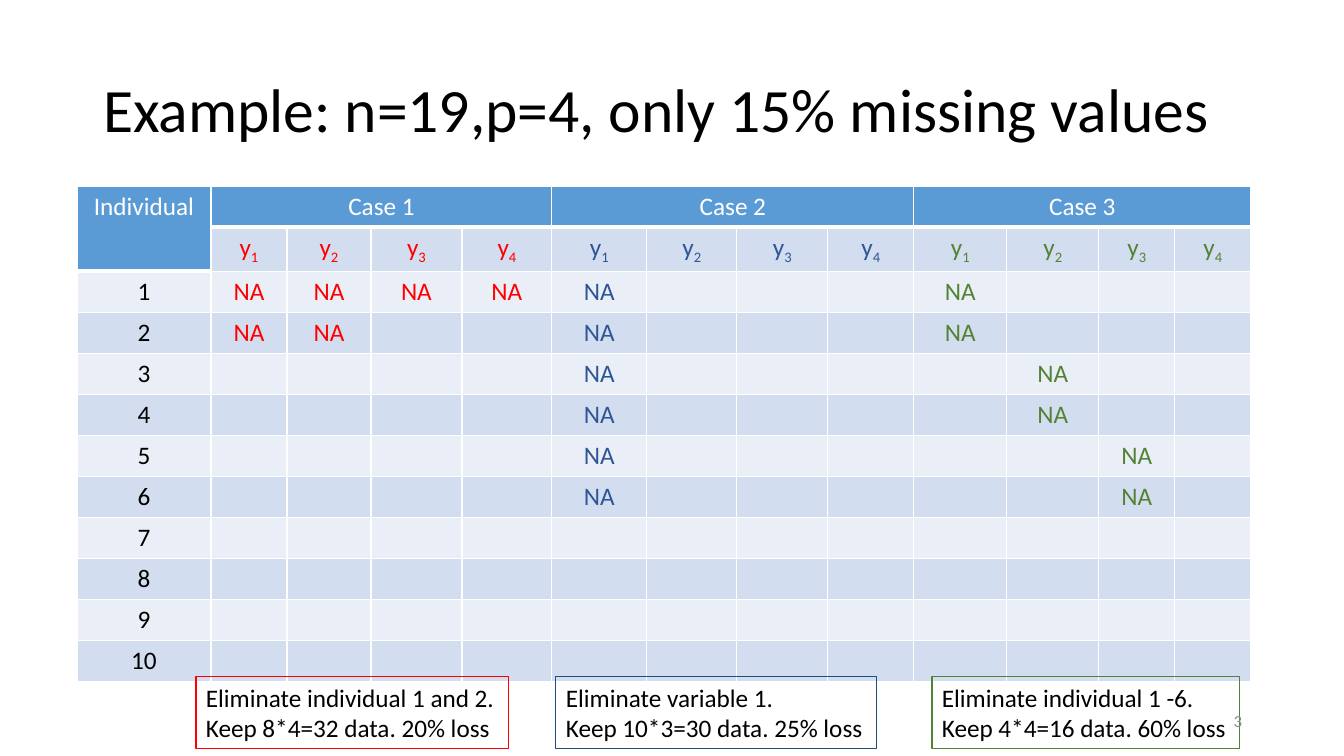
"""Build the slide that compares three patterns of missing values."""
from dataclasses import dataclass

from lxml.etree import SubElement
from pptx import Presentation
from pptx.dml.color import RGBColor
from pptx.enum.shapes import MSO_SHAPE
from pptx.enum.text import MSO_ANCHOR, MSO_AUTO_SIZE as FIT, PP_ALIGN
from pptx.oxml.ns import qn
from pptx.util import Emu, Pt

COLORS = {
    "black": "000000", "white": "FFFFFF", "header": "5B9BD5",
    "band_dark": "D2DEEF", "band_light": "EAEFF7", "red": "FF0000",
    "blue": "2F5597", "navy": "1F4E79", "green": "548235", "grey": "8C8C8C",
}
FONT = "Calibri"
INDIVIDUALS = 10
VARIABLES = 4
ROW_HEIGHT = 41
COLUMN_WIDTHS = [134, 76, 84, 91, 90, 95, 90, 91, 86, 93, 92, 76, 76]
NOTE_TOP, NOTE_HEIGHT = 677, 72


@dataclass
class Case:
    """A missing-value pattern, with the individuals missing per variable."""
    name: str
    color: str
    missing: list
    note: str
    note_left: int
    note_width: int
    note_line: str


CASES = [
    Case("Case 1", "red", [range(1, 3), range(1, 3), [1], [1]],
         "Eliminate individual 1 and 2.\nKeep 8*4=32 data. 20% loss", 196, 313, "red"),
    Case("Case 2", "blue", [range(1, 7), [], [], []],
         "Eliminate variable 1.\nKeep 10*3=30 data. 25% loss", 556, 321, "navy"),
    Case("Case 3", "green", [range(1, 3), range(3, 5), range(5, 7), []],
         "Eliminate individual 1 -6.\nKeep 4*4=16 data. 60% loss", 932, 308, "green"),
]


def px(length: int) -> Emu:
    """Turn pixels into EMU."""
    return Emu(round(length * 914400 / 100.8))


def rgb(name: str) -> RGBColor:
    """Look up a named colour."""
    return RGBColor.from_string(COLORS[name])


def style(tf, size: int, color: str, align=PP_ALIGN.LEFT) -> None:
    """Format every paragraph and run of a text frame."""
    for p in tf.paragraphs:
        p.alignment = align
        for r in p.runs:
            r.font.name, r.font.size = FONT, Pt(size)
            r.font.color.rgb = rgb(color)


def add_borders(cell, bottom: int) -> None:
    """Draw white borders round a cell."""
    tc_pr = cell._tc.get_or_add_tcPr()
    for side, width in (("L", 1), ("R", 1), ("T", 1), ("B", bottom)):
        ln = SubElement(tc_pr, qn(f"a:ln{side}"), w=str(Pt(width)))
        fill = SubElement(ln, qn("a:solidFill"))
        SubElement(fill, qn("a:srgbClr"), val=COLORS["white"])


def set_cell(cell, text: str, color: str) -> None:
    """Write centred text in a cell."""
    cell.text_frame.text = text
    style(cell.text_frame, 18, color, PP_ALIGN.CENTER)


def set_variable(cell, number: int, color: str) -> None:
    """Write a variable name with its subscript."""
    p = cell.text_frame.paragraphs[0]
    p.add_run().text = "y"
    r = p.add_run()
    r.text = str(number)
    r._r.get_or_add_rPr().set("baseline", "-25000")
    style(cell.text_frame, 18, color, PP_ALIGN.CENTER)


def add_title(s, text: str) -> None:
    """Place and format the title."""
    title = s.shapes.title
    title.left, title.top, title.width, title.height = map(px, (93, 40, 1159, 146))
    tf = title.text_frame
    tf.text = text
    tf.auto_size = FIT.NONE
    tf.vertical_anchor = MSO_ANCHOR.MIDDLE
    tf.paragraphs[0].line_spacing = 0.9
    style(tf, 44, "black")


def add_missing_table(s) -> None:
    """Add the table of missing values."""
    rows, cols = INDIVIDUALS + 2, len(COLUMN_WIDTHS)
    table = s.shapes.add_table(rows, cols, px(77), px(186), px(sum(COLUMN_WIDTHS)),
                               px(rows * ROW_HEIGHT)).table
    table.first_row = table.horz_banding = False
    for column, width in zip(table.columns, COLUMN_WIDTHS):
        column.width = px(width)
    for i, row in enumerate(table.rows):
        row.height = px(ROW_HEIGHT)
        for j, cell in enumerate(row.cells):
            header = i == 0 or (i == 1 and j == 0)
            band = "band_dark" if i % 2 else "band_light"
            add_borders(cell, 3 if header else 1)
            cell.fill.solid()
            cell.fill.fore_color.rgb = rgb("header" if header else band)

    table.cell(0, 0).merge(table.cell(1, 0))
    set_cell(table.cell(0, 0), "Individual", "white")
    for individual in range(1, INDIVIDUALS + 1):
        set_cell(table.cell(individual + 1, 0), str(individual), "black")
    for k, case in enumerate(CASES):
        first = 1 + k * VARIABLES
        table.cell(0, first).merge(table.cell(0, first + VARIABLES - 1))
        set_cell(table.cell(0, first), case.name, "white")
        for v, individuals in enumerate(case.missing):
            set_variable(table.cell(1, first + v), v + 1, case.color)
            for individual in individuals:
                set_cell(table.cell(individual + 1, first + v), "NA", case.color)


def add_note(s, case: Case) -> None:
    """Add the outlined conclusion of a case."""
    sp = s.shapes.add_shape(MSO_SHAPE.RECTANGLE, px(case.note_left), px(NOTE_TOP),
                            px(case.note_width), px(NOTE_HEIGHT))
    sp.shadow.inherit = False
    sp.fill.background()
    sp.line.color.rgb = rgb(case.note_line)
    sp.line.width = Pt(0.75)
    tf = sp.text_frame
    tf.text = case.note
    tf.word_wrap = False
    tf.auto_size = FIT.SHAPE_TO_FIT_TEXT
    tf.vertical_anchor = MSO_ANCHOR.TOP
    style(tf, 18, "black")


def add_page_number(s, number: int) -> None:
    """Add the page number."""
    tf = s.shapes.add_textbox(px(950), px(701), px(302), px(40)).text_frame
    tf.text = str(number)
    tf.word_wrap = True
    tf.vertical_anchor = MSO_ANCHOR.MIDDLE
    style(tf, 12, "grey", PP_ALIGN.RIGHT)


def main() -> None:
    """Build and save the slide."""
    prs = Presentation()
    prs.slide_width, prs.slide_height = px(1344), px(756)
    s = prs.slides.add_slide(prs.slide_layouts[5])
    add_title(s, "Example: n=19,p=4, only 15% missing values")
    add_missing_table(s)
    for case in CASES:
        add_note(s, case)
    add_page_number(s, 3)
    prs.save("out.pptx")


main()
